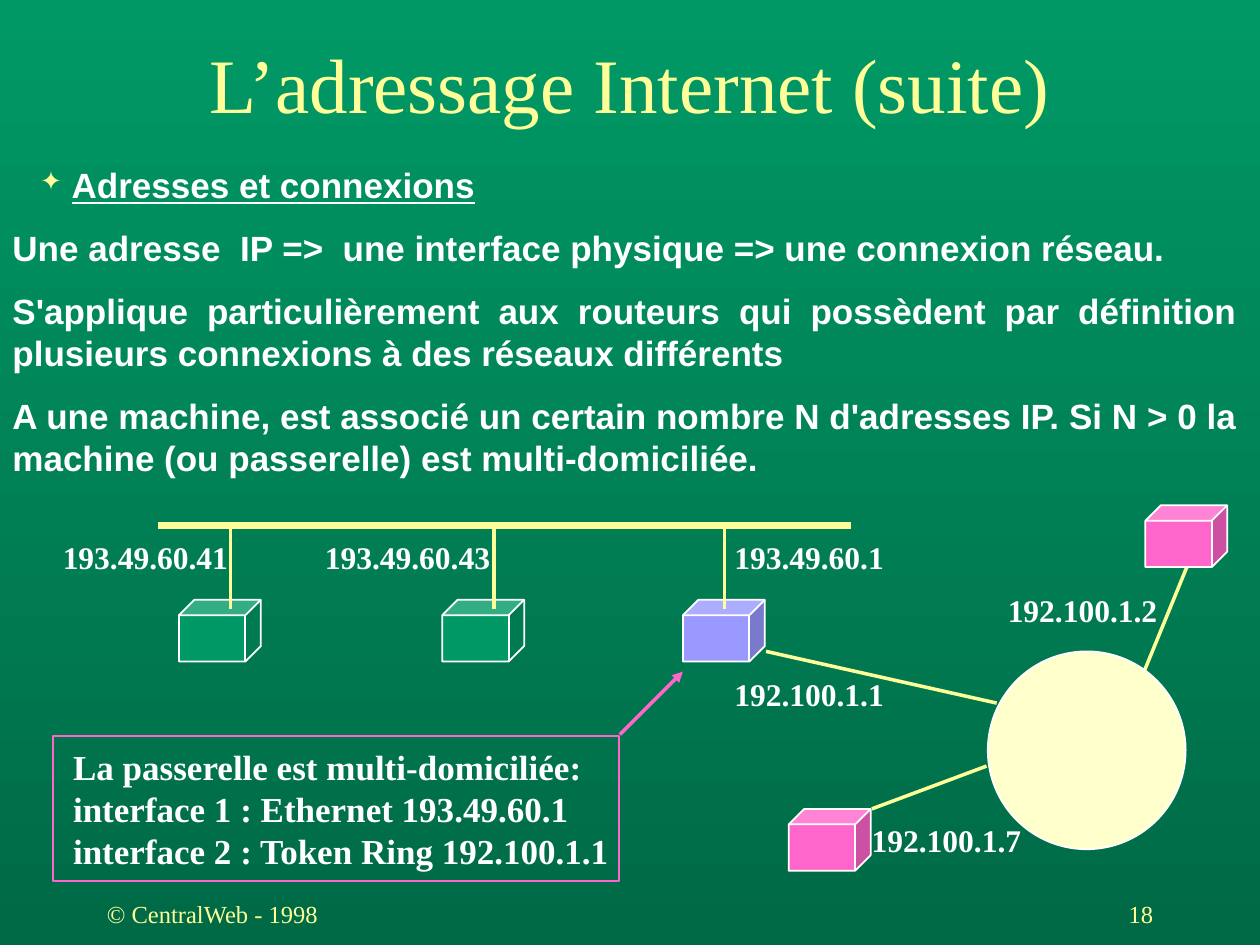
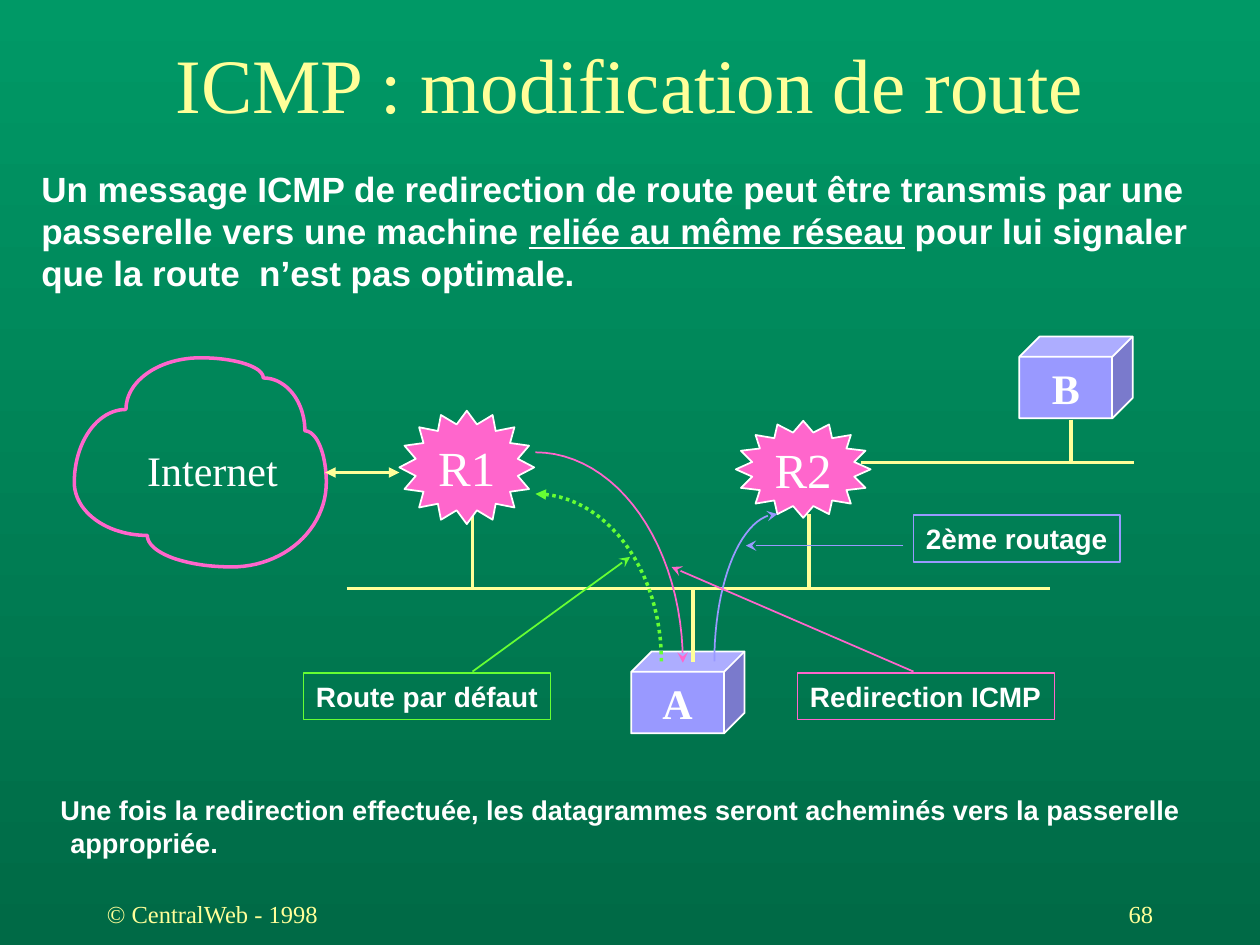
from math import cos, pi, sin

from lxml import etree
from pptx import Presentation
from pptx.dml.color import RGBColor
from pptx.enum.dml import MSO_LINE
from pptx.enum.shapes import MSO_CONNECTOR, MSO_SHAPE
from pptx.enum.text import MSO_ANCHOR, MSO_AUTO_SIZE, PP_ALIGN
from pptx.oxml.ns import qn
from pptx.util import Inches, Pt

GREEN = RGBColor(0x00, 0x99, 0x66)
DARK = RGBColor(0x00, 0x6A, 0x46)
YELLOW = RGBColor(0xFF, 0xFF, 0x99)
CREAM = RGBColor(0xFF, 0xFF, 0xCC)
WHITE = RGBColor(0xFF, 0xFF, 0xFF)
PINK = RGBColor(0xFF, 0x66, 0xCC)
BLUE = RGBColor(0x99, 0x99, 0xFF)
LIME = RGBColor(0x66, 0xFF, 0x33)

STRAIGHT = MSO_CONNECTOR.STRAIGHT
CUBE, RECT = MSO_SHAPE.CUBE, MSO_SHAPE.RECTANGLE
OVAL, STAR = MSO_SHAPE.OVAL, MSO_SHAPE.STAR_16_POINT
LEFT, CENTER, RIGHT = PP_ALIGN.LEFT, PP_ALIGN.CENTER, PP_ALIGN.RIGHT
JUSTIFY = PP_ALIGN.JUSTIFY
TOP, MIDDLE = MSO_ANCHOR.TOP, MSO_ANCHOR.MIDDLE
DOTS = MSO_LINE.ROUND_DOT

SERIF, SANS = "Times New Roman", "Arial"
BODY = dict(name=SANS, size=Pt(20), bold=True, color=WHITE)
NOTE = {**BODY, "size": Pt(15.5)}
TAG = {**BODY, "size": Pt(16)}
HOST = dict(name=SERIF, size=Pt(18), bold=True, color=WHITE)
GATE = {**HOST, "size": Pt(20)}
NODE = {**HOST, "size": Pt(24)}
CLOUD = {**NODE, "bold": False}
ROUTER = {**CLOUD, "size": Pt(28)}
TITLE = dict(name=SERIF, size=Pt(44), bold=False, color=YELLOW)
FOOT = {**TITLE, "size": Pt(14)}


def inch(*values):
    return [Inches(v) for v in values]


def style(font, look):
    for key, value in look.items():
        if key == "color":
            font.color.rgb = value
        else:
            setattr(font, key, value)


def write(frame, paras, look, align=LEFT, anchor=TOP, wrap=True, gap=0):
    """Fill a frame; a paragraph is a string or a list of (text, underline)."""
    frame.word_wrap = wrap
    frame.auto_size = MSO_AUTO_SIZE.NONE
    frame.vertical_anchor = anchor
    for i, runs in enumerate(paras):
        para = frame.add_paragraph() if i else frame.paragraphs[0]
        para.alignment = align
        para.space_before = Pt(gap if i else 0)
        for text, under in [(runs, False)] if isinstance(runs, str) else runs:
            run = para.add_run()
            run.text = text
            style(run.font, {**look, "underline": under})


def text(slide, at, paras, look, **how):
    box = slide.shapes.add_textbox(*inch(*at))
    write(box.text_frame, paras, look, **how)
    return box.text_frame


def indent(para, left, first):
    props = para._p.get_or_add_pPr()
    props.set("marL", str(Inches(left)))
    props.set("indent", str(Inches(first)))
    return props


def bullet(para):
    props = indent(para, 0.47, -0.25)
    color = etree.SubElement(props, qn("a:buClr"))
    etree.SubElement(color, qn("a:srgbClr"), val=str(YELLOW))
    etree.SubElement(props, qn("a:buSzPct"), val="75000")
    etree.SubElement(props, qn("a:buChar"), char="✦")


def stroke(shape, color, width, head=None, tail=None, dash=None):
    shape.line.color.rgb = color
    shape.line.width = Pt(width)
    if dash:
        shape.line.dash_style = dash
    edge = shape.element.spPr.find(qn("a:ln"))
    for end, kind in (("a:headEnd", head), ("a:tailEnd", tail)):
        if kind:
            etree.SubElement(edge, qn(end), type=kind)


def link(slide, x1, y1, x2, y2, color=YELLOW, width=2, **ends):
    line = slide.shapes.add_connector(STRAIGHT, *inch(x1, y1, x2, y2))
    stroke(line, color, width, **ends)
    etree.SubElement(line.element.spPr, qn("a:effectLst"))


def shape(slide, kind, at, fill=None, edge=WHITE):
    item = slide.shapes.add_shape(kind, *inch(*at))
    item.shadow.inherit = False
    if fill is None:
        item.fill.background()
    else:
        item.fill.solid()
        item.fill.fore_color.rgb = fill
    stroke(item, edge, 1)
    return item


def cube(slide, x, y, fill, width=0.65, height=0.49):
    return shape(slide, CUBE, (x, y, width, height), fill)


def inner(item, label, look):
    """Centre a label inside a shape."""
    frame = item.text_frame
    for side in ("left", "right", "top", "bottom"):
        setattr(frame, "margin_" + side, 0)
    write(frame, [label], look, align=CENTER, anchor=MIDDLE, wrap=False)


def server(slide, x, y, name):
    inner(cube(slide, x, y, BLUE, 0.9, 0.65), name, NODE)


def router(slide, x, y, height, name):
    star = shape(slide, STAR, (x, y, 1.07, height), PINK)
    star.adjustments[0] = 0.386
    inner(star, name, ROUTER)


def tag(slide, x, y, width, label, edge):
    box = shape(slide, RECT, (x, y, width, 0.37), edge=edge)
    write(box.text_frame, [label], TAG, anchor=MIDDLE, wrap=False)


def bend(start, end, flat, steps=24):
    """Points of a quarter ellipse that leaves start level if flat, else upright."""
    (x, y), (u, v) = start, end
    for i in range(steps + 1):
        turn = i / steps * pi / 2
        fast, slow = sin(turn), 1 - cos(turn)
        a, b = (fast, slow) if flat else (slow, fast)
        yield x + (u - x) * a, y + (v - y) * b


def curve(slide, points, color, width, close=False, **ends):
    dots = [inch(*p) for p in points]
    pen = slide.shapes.build_freeform(*dots[0])
    pen.add_line_segments(dots[1:], close=close)
    item = pen.convert_to_shape()
    item.shadow.inherit = False
    item.fill.background()
    stroke(item, color, width, **ends)


def cloud(slide):
    knots = [(1.59, 2.84, True), (2.09, 3, True), (2.42, 3.42, True),
             (2.59, 3.83, False), (1.84, 4.5, True), (1.17, 4.25, True),
             (0.59, 3.83, False), (1, 3.25, False)]
    points = []
    for (x, y, flat), (u, v, _) in zip(knots, knots[1:] + knots[:1]):
        points += bend((x, y), (u, v), flat)
    curve(slide, points, PINK, 2, close=True)
    text(slide, (1.07, 3.48, 1.24, 0.5), ["Internet"], CLOUD, wrap=False)


def paint(master):
    fill = master.background.fill
    fill.gradient()
    fill.gradient_angle = 270
    for stop, color, spot in zip(fill.gradient_stops, (GREEN, DARK), (0, 1)):
        stop.color.rgb = color
        stop.position = spot


def start(prs, title, number):
    """Add a slide with its title and footer."""
    slide = prs.slides.add_slide(prs.slide_layouts[5])
    head = slide.shapes.title
    head.left, head.top, head.width, head.height = inch(0, 0.31, 10, 0.69)
    write(head.text_frame, [title], TITLE, align=CENTER, anchor=MIDDLE)
    for x, label, align in ((0.75, "© CentralWeb - 1998", LEFT),
                            (7.17, str(number), RIGHT)):
        text(slide, (x, 7, 2.08, 0.5), [label], FOOT, align=align, anchor=MIDDLE)
    return slide


def address(prs):
    slide = start(prs, "L’adressage Internet (suite)", 18)
    frame = text(slide, (0, 1.25, 9.92, 2.58), [
        [("Adresses et connexions", True)],
        "Une adresse  IP =>  une interface physique => une connexion réseau.",
        "S'applique particulièrement aux routeurs qui possèdent par définition "
        "plusieurs connexions à des réseaux différents",
        "A une machine, est associé un certain nombre N d'adresses IP. "
        "Si N > 0 la machine (ou passerelle) est multi-domiciliée.",
    ], BODY, align=JUSTIFY, gap=12)
    bullet(frame.paragraphs[0])

    link(slide, 1.25, 4.17, 6.75, 4.17, width=4)
    for x, drop, fill in ((1.42, 1.83, GREEN), (3.51, 3.92, GREEN),
                          (5.42, 5.75, BLUE)):
        cube(slide, x, 4.76, fill)
        link(slide, drop, 4.17, drop, 4.83)

    for ends in ((6.08, 5.17, 7.91, 5.58), (7.83, 6.08, 6.92, 6.42),
                 (9.42, 4.5, 9.08, 5.33)):
        link(slide, *ends)
    shape(slide, OVAL, (7.84, 5.17, 1.57, 1.57), CREAM)
    for x, y in ((9.09, 4.01), (6.26, 6.42)):
        cube(slide, x, y, PINK)

    for x, y, label in ((0.4, 4.22, "193.49.60.41"), (2.48, 4.22, "193.49.60.43"),
                        (5.73, 4.22, "193.49.60.1"), (5.73, 5.31, "192.100.1.1"),
                        (7.9, 4.64, "192.100.1.2"), (6.82, 6.47, "192.100.1.7")):
        text(slide, (x, y, 1.5, 0.4), [label], HOST, wrap=False)

    gate = shape(slide, RECT, (0.42, 5.84, 4.49, 1.15), edge=PINK)
    gate.text_frame.margin_left = Inches(0.16)
    write(gate.text_frame, ["La passerelle est multi-domiciliée:",
                            "interface 1 : Ethernet 193.49.60.1",
                            "interface 2 : Token Ring 192.100.1.1"],
          GATE, anchor=MIDDLE, wrap=False)
    link(slide, 4.92, 5.83, 5.42, 5.33, PINK, tail="triangle")


def route(prs):
    slide = start(prs, "ICMP : modification de route", 68)
    text(slide, (0.23, 1.28, 9.6, 1.1), [[
        ("Un message ICMP de redirection de route peut être transmis par une "
         "passerelle vers une machine ", False),
        ("reliée au même réseau", True),
        (" pour lui signaler que la route  n’est pas optimale.", False),
    ]], BODY)

    link(slide, 2.75, 4.67, 8.33, 4.67)
    server(slide, 5.01, 5.17, "A")
    link(slide, 5.5, 4.67, 5.5, 5.25)
    for x in (3.75, 6.42):
        link(slide, x, 4.08, x, 4.67)
    router(slide, 3.17, 3.26, 0.9, "R1")
    router(slide, 5.84, 3.34, 0.77, "R2")
    cloud(slide)
    link(slide, 2.58, 3.75, 3.17, 3.75, head="triangle", tail="triangle")
    link(slide, 6.83, 3.67, 9, 3.67)
    server(slide, 8.09, 2.67, "B")
    link(slide, 8.5, 3.33, 8.5, 3.67)

    curve(slide, bend((4.25, 3.92), (5.25, 5.25), True), LIME, 2,
          head="triangle", dash=DOTS)
    curve(slide, bend((4.25, 3.59), (5.42, 5.26), True), PINK, 1, tail="stealth")
    curve(slide, bend((5.67, 5.25), (6.17, 4.08), False), BLUE, 1, tail="stealth")

    for x, y, width, label, color, ends in (
            (2.41, 5.34, 1.96, "Route par défaut", LIME, (3.75, 5.33, 5, 4.42)),
            (6.33, 5.34, 2.04, "Redirection ICMP", PINK, (7.25, 5.33, 5.33, 4.5)),
            (7.25, 4.09, 1.64, "2ème routage", BLUE, (7.17, 4.33, 5.92, 4.33))):
        tag(slide, x, y, width, label, color)
        link(slide, *ends, color, 1, tail="stealth")

    frame = text(slide, (0.08, 6.25, 9.92, 0.66), [
        "Une fois la redirection effectuée, les datagrammes seront acheminés "
        "vers la passerelle appropriée."], NOTE)
    indent(frame.paragraphs[0], 0.38, -0.08)


def main():
    prs = Presentation()
    prs.slide_width, prs.slide_height = inch(10, 7.5)
    paint(prs.slide_master)
    address(prs)
    route(prs)
    prs.save("out.pptx")


if __name__ == "__main__":
    main()
